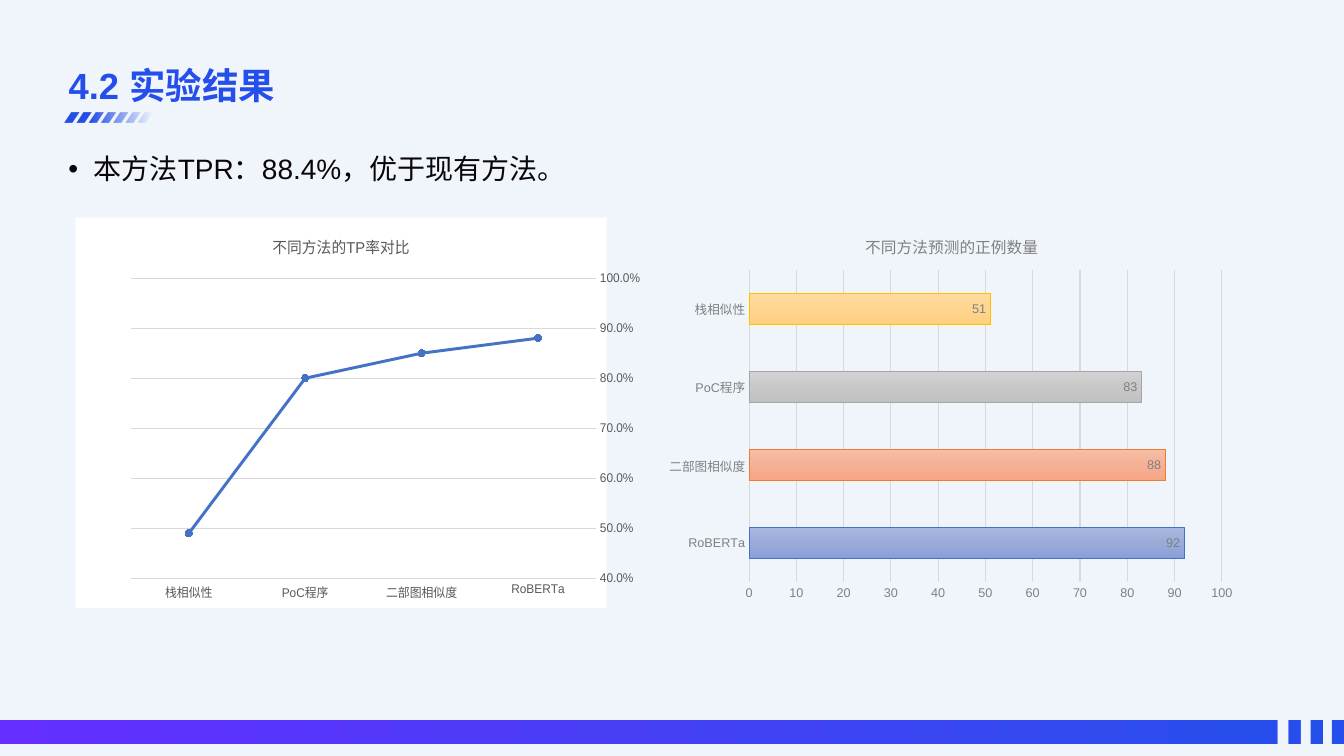
from dataclasses import dataclass

from lxml import etree
from pptx import Presentation
from pptx.chart.data import CategoryChartData
from pptx.dml.color import RGBColor
from pptx.enum.chart import (XL_AXIS_CROSSES, XL_CHART_TYPE, XL_LABEL_POSITION,
                             XL_MARKER_STYLE, XL_TICK_MARK)
from pptx.enum.text import MSO_ANCHOR, PP_ALIGN
from pptx.oxml import parse_xml
from pptx.oxml.ns import nsdecls, qn
from pptx.util import Inches, Pt

LINE, BAR = XL_CHART_TYPE.LINE_MARKERS, XL_CHART_TYPE.BAR_CLUSTERED
NO_TICK = XL_TICK_MARK.NONE
CROSS_MIN = XL_AXIS_CROSSES.MINIMUM
CIRCLE = XL_MARKER_STYLE.CIRCLE
INSIDE_END = XL_LABEL_POSITION.INSIDE_END
LEFT, CENTER = PP_ALIGN.LEFT, PP_ALIGN.CENTER
TOP, MIDDLE = MSO_ANCHOR.TOP, MSO_ANCHOR.MIDDLE


@dataclass(frozen=True)
class Theme:
    font: str = "Arial"
    background: str = "F0F5FC"
    accent: str = "254FEB"
    violet: str = "642FFF"
    ink: str = "090509"
    white: str = "FFFFFF"
    grid: str = "D9D9D9"
    series: str = "4472C4"
    dark_label: str = "595959"
    light_label: str = "808080"
    title_size: float = 26
    body_size: float = 20
    chart_title_size: float = 11.2
    label_size: float = 9


T = Theme()
TITLE = "4.2 实验结果"
BULLET = "本方法TPR：88.4%，优于现有方法。"
METHODS = ["RoBERTa", "二部图相似度", "PoC程序", "栈相似性"]
RATE_TITLE = "不同方法的TP率对比"
RATES = [0.88, 0.85, 0.8, 0.49]
COUNT_TITLE = "不同方法预测的正例数量"
COUNTS = [92, 88, 83, 51]
BAR_STYLES = [  # outline, then gradient from top to bottom
    ("4472C4", "A8B7DF", "9AABD9", "889ED7"),
    ("ED7D31", "F7BDA5", "F5B196", "F8A582"),
    ("A5A5A5", "D2D2D2", "C8C8C8", "C0C0C0"),
    ("FFC000", "FFDB9E", "FFD590", "FFD07C"),
]
CHART_TOP, CHART_HEIGHT = 2.16, 3.87


def rgb(color):
    return RGBColor.from_string(color)


def set_font(font, size, color, bold=False):
    font.name, font.size, font.bold = T.font, Pt(size), bold
    font.color.rgb = rgb(color)


def put_text(tf, text, *, size, color, bold=False, anchor=TOP, align=LEFT):
    tf.word_wrap, tf.vertical_anchor = True, anchor
    p = tf.paragraphs[0]
    p.alignment = align
    r = p.add_run()
    r.text = text
    set_font(r.font, size, color, bold)
    return p


def set_gradient(fill, stops, angle):
    """Stops are (position %, colour, opacity %); the angle runs clockwise."""
    fill.gradient()
    grad = fill._fill._gradFill
    for child in list(grad):
        grad.remove(child)
    gs_list = etree.SubElement(grad, qn("a:gsLst"))
    for pos, color, opacity in stops:
        gs = etree.SubElement(gs_list, qn("a:gs"), pos=str(pos * 1000))
        clr = etree.SubElement(gs, qn("a:srgbClr"), val=color)
        if opacity < 100:
            etree.SubElement(clr, qn("a:alpha"), val=str(opacity * 1000))
    etree.SubElement(grad, qn("a:lin"), ang=str(angle * 60000), scaled="0")


def add_outline(s, contours, stops, angle):
    """Draw closed contours, given in inches, as one gradient shape."""
    contours = [[(Inches(x), Inches(y)) for x, y in c] for c in contours]
    builder = s.shapes.build_freeform(*contours[0][0])
    for i, contour in enumerate(contours):
        if i:
            builder.move_to(*contour[0])
        builder.add_line_segments(contour[1:], close=True)
    sp = builder.convert_to_shape()
    sp.shadow.inherit = False
    sp.line.fill.background()
    set_gradient(sp.fill, stops, angle)


def add_decoration(s):
    top, bottom = 7.14, 7.38
    spans = [(0, 12.67)] + [(x, x + 0.12) for x in (12.78, 13.0, 13.21)]
    add_outline(s, [[(a, top), (b, top), (b, bottom), (a, bottom)] for a, b in spans],
                [(0, T.accent, 100), (100, T.violet, 100)], 180)
    top, bottom, slant, width = 1.12, 1.21, 0.07, 0.08
    starts = [0.64 + 0.12 * i for i in range(7)]
    add_outline(s, [[(x, bottom), (x + slant, top), (x + slant + width, top),
                     (x + width, bottom)] for x in starts],
                [(29, T.accent, 100), (100, T.accent, 0)], 0)


def add_bullet(s):
    box = s.shapes.add_textbox(Inches(0.58), Inches(1.29), Inches(12.18), Inches(5.05))
    p = put_text(box.text_frame, BULLET, size=T.body_size, color=T.ink)
    p.line_spacing, p.space_before = 1.5, Pt(10)
    props = p._p.get_or_add_pPr()
    props.set("marL", str(Inches(0.25)))
    props.set("indent", str(-Inches(0.25)))
    etree.SubElement(props, qn("a:buFont"), typeface=T.font)
    etree.SubElement(props, qn("a:buChar"), char="•")


def set_plot_frame(chart, width, frame):
    """Fix the inner plot area; the frame is x, y, width, height in inches."""
    area = chart._chartSpace.find(".//" + qn("c:plotArea"))
    for layout in area.findall(qn("c:layout")):
        area.remove(layout)
    totals = (width, CHART_HEIGHT) * 2
    sizes = "".join(f'<c:{k} val="{v / total:.4f}"/>'
                    for k, v, total in zip("xywh", frame, totals))
    area.insert(0, parse_xml(
        f'<c:layout {nsdecls("c")}><c:manualLayout><c:layoutTarget val="inner"/>'
        f'<c:xMode val="edge"/><c:yMode val="edge"/>{sizes}'
        '</c:manualLayout></c:layout>'))


def add_method_chart(s, kind, title, values, *, left, width, color, frame, low, high,
                     step, number_format="General", fill=None):
    data = CategoryChartData(number_format=number_format)
    data.categories = METHODS
    data.add_series("Series 1", values)
    chart = s.shapes.add_chart(kind, Inches(left), Inches(CHART_TOP), Inches(width),
                               Inches(CHART_HEIGHT), data).chart
    chart.has_legend = False
    set_font(chart.font, T.label_size, color)
    paint = f'<a:solidFill><a:srgbClr val="{fill}"/></a:solidFill>' if fill else "<a:noFill/>"
    chart._chartSpace.find(qn("c:txPr")).addprevious(parse_xml(
        f'<c:spPr {nsdecls("c", "a")}>{paint}<a:ln><a:noFill/></a:ln></c:spPr>'))
    put_text(chart.chart_title.text_frame, title, size=T.chart_title_size,
             color=color, align=CENTER)
    chart.chart_title.include_in_layout = False
    set_plot_frame(chart, width, frame)
    cat, val = chart.category_axis, chart.value_axis
    for axis in (cat, val):
        axis.major_tick_mark = axis.minor_tick_mark = NO_TICK
        set_font(axis.tick_labels.font, T.label_size, color)
    val.minimum_scale, val.maximum_scale, val.major_unit = low, high, step
    val.tick_labels.number_format = number_format
    val.tick_labels.number_format_is_linked = False
    val.has_major_gridlines, cat.has_major_gridlines = True, False
    val.format.line.fill.background()
    for line in (cat.format.line, val.major_gridlines.format.line):
        line.color.rgb, line.width = rgb(T.grid), Pt(0.75)
    chart.plots[0].vary_by_categories = False
    return chart


def add_rate_chart(s):
    chart = add_method_chart(s, LINE, RATE_TITLE, RATES, left=0.75, width=5.6,
                             color=T.dark_label, frame=(0.58, 0.6, 4.91, 2.98),
                             low=0.4, high=1, step=0.1, number_format="0.0%", fill=T.white)
    chart.category_axis.reverse_order = True
    chart.category_axis.crosses = CROSS_MIN
    series = chart.plots[0].series[0]
    series.smooth = False
    series.format.line.color.rgb, series.format.line.width = rgb(T.series), Pt(2.25)
    marker = series.marker
    marker.style, marker.size = CIRCLE, 5
    marker.format.fill.solid()
    marker.format.fill.fore_color.rgb = rgb(T.series)
    marker.format.line.color.rgb = rgb(T.series)


def add_count_chart(s):
    chart = add_method_chart(s, BAR, COUNT_TITLE, COUNTS, left=6.53, width=5.82,
                             color=T.light_label, frame=(0.9, 0.52, 4.69, 3.1),
                             low=0, high=100, step=10)
    plot = chart.plots[0]
    plot.gap_width, plot.has_data_labels = 150, True
    labels = plot.data_labels
    labels.show_value, labels.position = True, INSIDE_END
    set_font(labels.font, T.label_size, T.light_label)
    for i, (outline, *shades) in enumerate(BAR_STYLES):
        fmt = plot.series[0].points[i].format
        set_gradient(fmt.fill, [(50 * j, c, 100) for j, c in enumerate(shades)], 90)
        fmt.line.color.rgb, fmt.line.width = rgb(outline), Pt(0.75)


prs = Presentation()
prs.slide_width, prs.slide_height = Inches(13.33), Inches(7.5)
s = prs.slides.add_slide(prs.slide_layouts[5])
s.background.fill.solid()
s.background.fill.fore_color.rgb = rgb(T.background)
add_decoration(s)
add_bullet(s)
title = s.shapes.title
title.left, title.top, title.width, title.height = map(Inches, (0.58, 0.57, 8.34, 0.54))
put_text(title.text_frame, TITLE, size=T.title_size, color=T.accent, bold=True, anchor=MIDDLE)
add_rate_chart(s)
add_count_chart(s)
prs.save("out.pptx")
